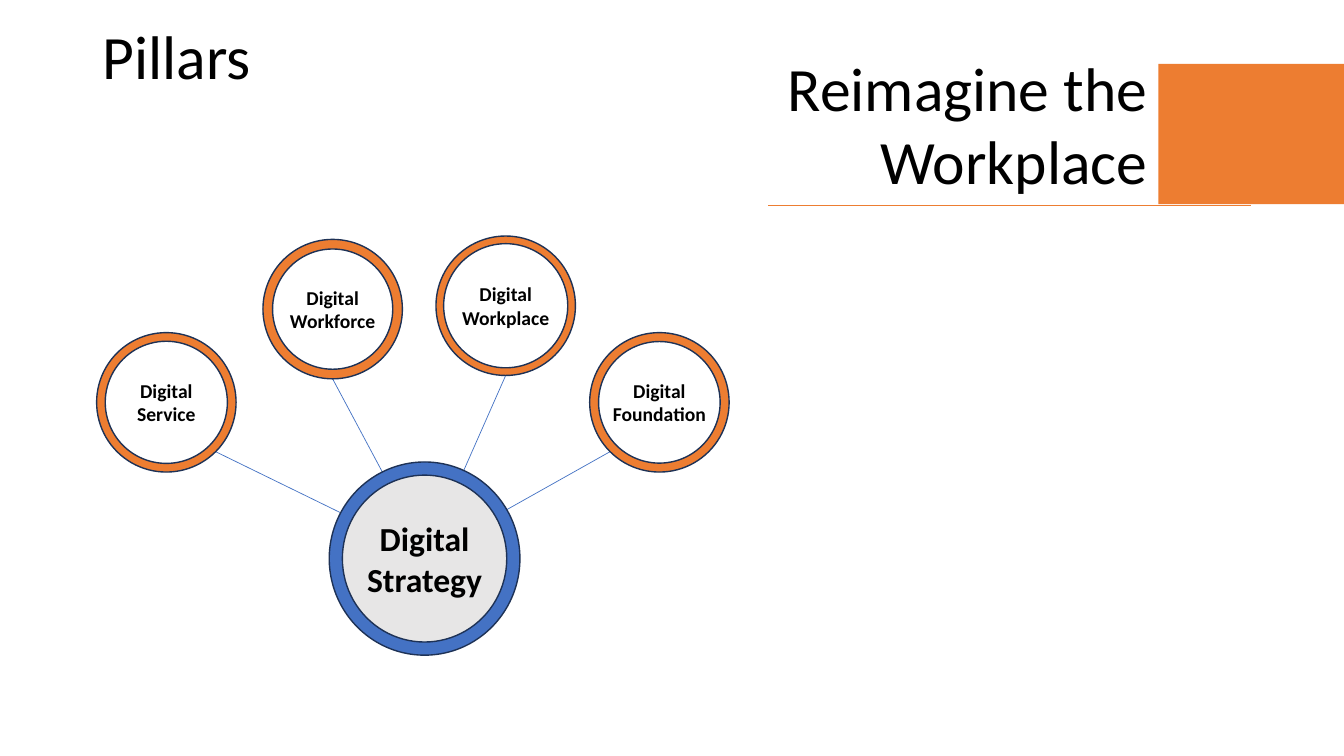
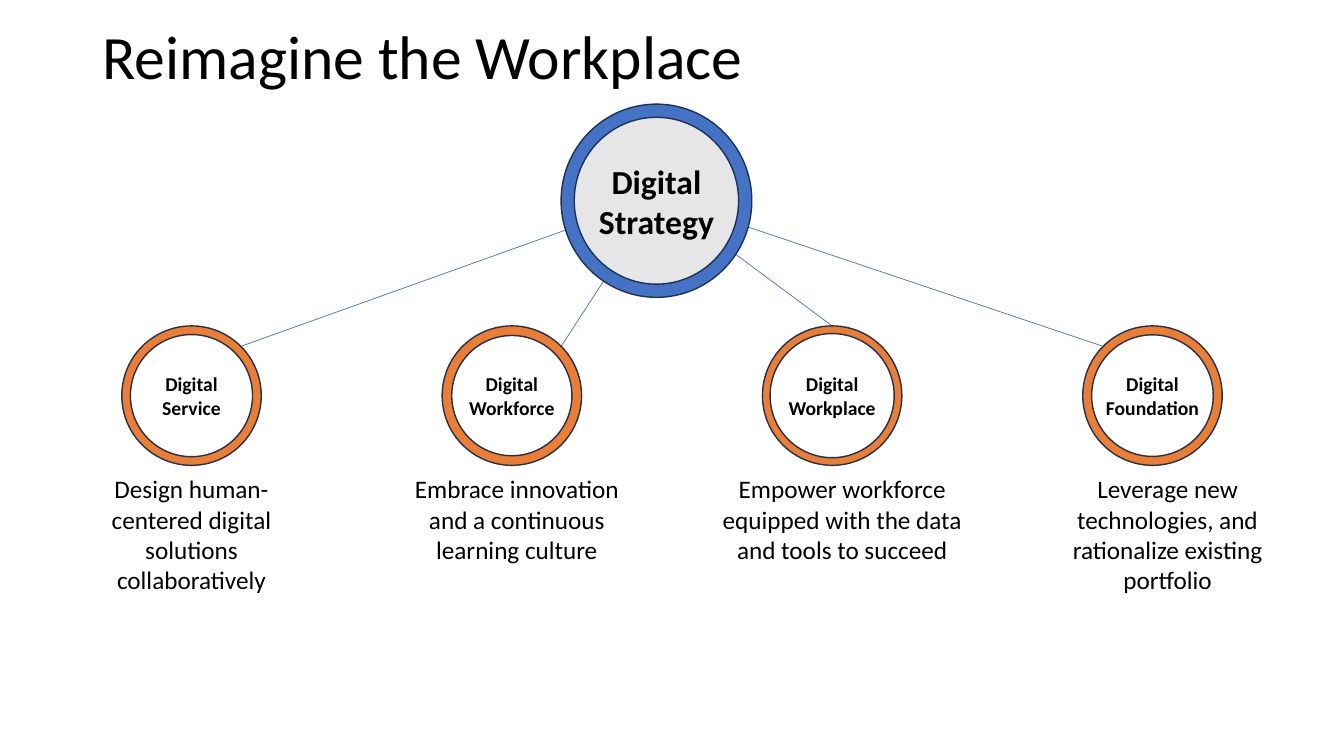
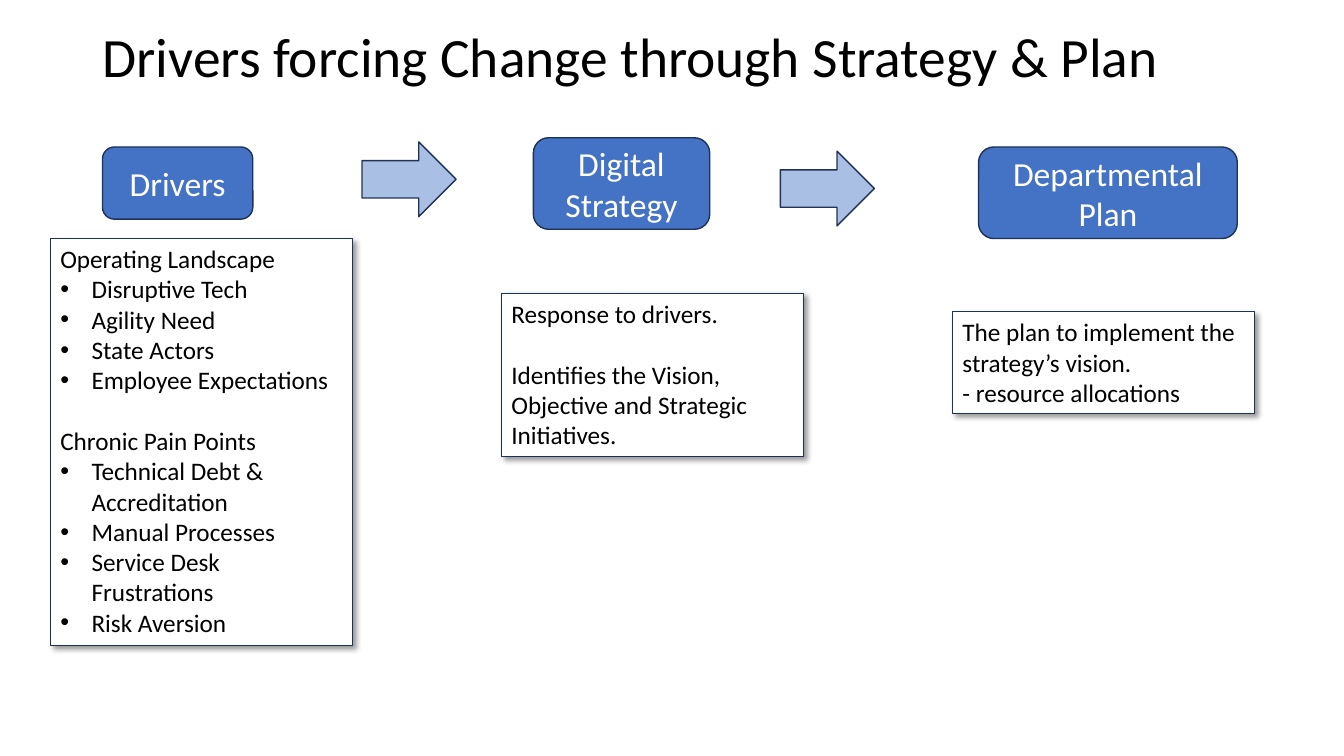
from dataclasses import dataclass
from math import cos, radians, sin

from lxml import etree
from pptx import Presentation
from pptx.dml.color import RGBColor
from pptx.enum.shapes import MSO_CONNECTOR, MSO_SHAPE
from pptx.enum.text import MSO_ANCHOR, MSO_AUTO_SIZE, PP_ALIGN
from pptx.oxml.ns import qn
from pptx.util import Inches, Pt

DONUT, OVAL = MSO_SHAPE.DONUT, MSO_SHAPE.OVAL
RECTANGLE, ROUNDED = MSO_SHAPE.RECTANGLE, MSO_SHAPE.ROUNDED_RECTANGLE
RIGHT_ARROW = MSO_SHAPE.RIGHT_ARROW
STRAIGHT = MSO_CONNECTOR.STRAIGHT
TOP, MIDDLE = MSO_ANCHOR.TOP, MSO_ANCHOR.MIDDLE
NO_AUTOFIT, GROW = MSO_AUTO_SIZE.NONE, MSO_AUTO_SIZE.SHAPE_TO_FIT_TEXT
LEFT, CENTER, RIGHT = PP_ALIGN.LEFT, PP_ALIGN.CENTER, PP_ALIGN.RIGHT

COLORS = {
    "black": "000000",
    "white": "FFFFFF",
    "blue": "4472C4",
    "orange": "ED7D31",
    "gray": "E7E6E6",
    "outline": "1E3256",
}
FONT = "Calibri"
COLUMNS, ROWS = 16, 9
SLIDE_WIDTH, SLIDE_HEIGHT = Inches(13.33), Inches(7.5)
PILLAR_SIZE = 1.66
HUB_WIDTH, HUB_HEIGHT = 2.27, 2.3
DISC_WIDTH, DISC_HEIGHT = 1.98, 2.09
PILLARS = [
    ("Digital Service", 0.062, "Design human-centered digital solutions collaboratively"),
    ("Digital Workforce", 0.069, "Embrace innovation and a continuous learning culture"),
    ("Digital Workplace", 0.055, "Empower workforce equipped with the data and tools to succeed"),
    ("Digital Foundation", 0.064, "Leverage new technologies, and rationalize existing portfolio"),
]


@dataclass
class Box:
    left: float
    top: float
    width: float
    height: float

    def inner(self, left, top, width, height):
        return Box(self.left + left, self.top + top, width, height)

    def center(self):
        return self.left + self.width / 2, self.top + self.height / 2

    def emu(self):
        return (*to_emu(self.left, self.top), *to_emu(self.width, self.height))


TITLE_BOX = Box(1.1, 0.18, 13.8, 1.06)


def to_emu(x, y):
    return round(x * SLIDE_WIDTH / COLUMNS), round(y * SLIDE_HEIGHT / ROWS)


def color(name):
    return RGBColor.from_string(COLORS[name])


def add_run(paragraph, text, size, color_name="black", bold=False):
    run = paragraph.add_run()
    run.text = text
    run.font.name = FONT
    run.font.size = Pt(size)
    run.font.bold = bold
    run.font.color.rgb = color(color_name)


def set_frame(frame, anchor, auto_size=NO_AUTOFIT, wrap=True):
    frame.word_wrap = wrap
    frame.auto_size = auto_size
    frame.vertical_anchor = anchor
    return frame


def next_paragraph(frame, index):
    return frame.add_paragraph() if index else frame.paragraphs[0]


def add_shape(slide, kind, box, fill, line_width=1):
    shape = slide.shapes.add_shape(kind, *box.emu())
    shape.shadow.inherit = False
    shape.fill.solid()
    shape.fill.fore_color.rgb = color(fill)
    if line_width:
        shape.line.color.rgb = color("outline")
        shape.line.width = Pt(line_width)
    else:
        shape.line.fill.background()
    return shape


def add_label(shape, text, size, color_name="black", bold=False):
    frame = set_frame(shape.text_frame, MIDDLE)
    paragraph = frame.paragraphs[0]
    paragraph.alignment = CENTER
    add_run(paragraph, text, size, color_name, bold)
    return frame


def add_line(slide, start, end, color_name):
    line = slide.shapes.add_connector(STRAIGHT, *to_emu(*start), *to_emu(*end))
    line.line.color.rgb = color(color_name)
    line.line.width = Pt(0.5)
    etree.SubElement(line._element.spPr, qn("a:effectLst"))


def add_ring(slide, box, thickness, fill, text, size):
    ring = add_shape(slide, DONUT, box, fill)
    ring.adjustments[0] = thickness
    frame = add_label(ring, text, size, bold=True)
    frame.margin_left = frame.margin_right = 0
    frame.margin_top = frame.margin_bottom = 0


def add_titled_slide(presentation, title, size=44):
    slide = presentation.slides.add_slide(presentation.slide_layouts[5])
    shape = slide.shapes.title
    shape.left, shape.top, shape.width, shape.height = TITLE_BOX.emu()
    paragraph = set_frame(shape.text_frame, MIDDLE).paragraphs[0]
    paragraph.alignment = LEFT
    paragraph.line_spacing = 0.9
    add_run(paragraph, title, size)
    return slide


def add_pillar_map(slide, box, pillar_places, hub_place):
    hub = box.inner(*hub_place, HUB_WIDTH, HUB_HEIGHT)
    hub_x, hub_y = hub.center()
    line_end = hub.left + 0.51 * hub.width, hub.top + 0.48 * hub.height
    rings = [box.inner(x, y, PILLAR_SIZE, PILLAR_SIZE) for x, y, _ in pillar_places]
    for ring, (_, _, angle) in zip(rings, pillar_places):
        x, y = ring.center()
        radius = PILLAR_SIZE / 2
        start = x + radius * cos(radians(angle)), y + radius * sin(radians(angle))
        add_line(slide, start, line_end, "blue")
    for ring, (name, thickness, _) in zip(rings, PILLARS):
        add_ring(slide, ring, thickness, "orange", name, 14)
    disc = Box(hub_x - DISC_WIDTH / 2, hub_y - DISC_HEIGHT / 2, DISC_WIDTH, DISC_HEIGHT)
    add_shape(slide, OVAL, disc, "gray")
    add_ring(slide, hub, 0.069, "blue", "Digital Strategy", 24)


def add_banner(slide, box):
    heading = slide.shapes.add_textbox(*box.inner(0.12, 0, 4.57, 1.9).emu())
    frame = set_frame(heading.text_frame, TOP, GROW, wrap=False)
    for index, (text, alignment) in enumerate([("Reimagine the", LEFT), ("Workplace", RIGHT)]):
        paragraph = next_paragraph(frame, index)
        paragraph.alignment = alignment
        add_run(paragraph, text, 44)
    block_left = 4.65
    block = box.inner(block_left, 0.23, box.width - block_left, 1.67)
    add_shape(slide, RECTANGLE, block, "orange", line_width=0)
    bottom = box.top + box.height
    add_line(slide, (box.left + 5.75, bottom), (box.left, bottom), "orange")


def add_captions(slide, box):
    width = 3.1
    pitch = (box.width - width) / (len(PILLARS) - 1)
    for index, (_, _, caption) in enumerate(PILLARS):
        place = box.inner(index * pitch, 0, width, box.height)
        shape = slide.shapes.add_textbox(*place.emu())
        paragraph = set_frame(shape.text_frame, TOP, GROW).paragraphs[0]
        paragraph.alignment = CENTER
        add_run(paragraph, caption, 18)


def add_bullet(paragraph):
    properties = paragraph._p.get_or_add_pPr()
    properties.set("marL", str(Inches(0.31)))
    properties.set("indent", str(-Inches(0.31)))
    etree.SubElement(properties, qn("a:buFont"), typeface="Arial")
    etree.SubElement(properties, qn("a:buChar"), char="•")


def add_drop_shadow(shape):
    effects = shape._element.spPr.find(qn("a:effectLst"))
    shadow = etree.SubElement(
        effects, qn("a:outerShdw"), blurRad=str(Pt(4)), dist=str(Pt(3)),
        dir=str(45 * 60000), algn="tl", rotWithShape="0")
    tint = etree.SubElement(shadow, qn("a:srgbClr"), val=COLORS["black"])
    etree.SubElement(tint, qn("a:alpha"), val="40000")


def add_note(slide, box, groups):
    note = add_shape(slide, RECTANGLE, box, "white", line_width=0.75)
    add_drop_shadow(note)
    frame = set_frame(note.text_frame, TOP, GROW)
    lines = [(text, group_index > 0 and line_index == 0, line_index > 0 and bulleted)
             for group_index, (bulleted, texts) in enumerate(groups)
             for line_index, text in enumerate(texts)]
    for index, (text, starts_group, bulleted) in enumerate(lines):
        paragraph = next_paragraph(frame, index)
        paragraph.alignment = LEFT
        if starts_group:
            paragraph.space_before = Pt(22)
        if bulleted:
            add_bullet(paragraph)
        add_run(paragraph, text, 18)


def add_stage(slide, box, name, label_place, note_top, note_height, groups):
    label = add_shape(slide, ROUNDED, box.inner(*label_place), "blue")
    add_label(label, name, 24, "white")
    add_note(slide, box.inner(0, note_top, box.width, note_height), groups)


def add_arrow(slide, box):
    arrow = add_shape(slide, RIGHT_ARROW, box, "blue")
    tint = arrow._element.spPr.find(qn("a:solidFill"))[0]
    etree.SubElement(tint, qn("a:alpha"), val="45000")


def build_pillars(presentation):
    slide = add_titled_slide(presentation, "Pillars")
    places = [(0, 1.15, 45), (1.98, 0.04, 90), (4.04, 0, 90), (5.87, 1.15, 135)]
    add_pillar_map(slide, Box(1.15, 2.81, 7.53, 4.99), places, (2.77, 2.69))
    add_banner(slide, Box(9.14, 0.53, 6.86, 1.91))


def build_workplace(presentation):
    slide = add_titled_slide(presentation, "Reimagine the Workplace")
    box = Box(1.45, 1.24, 13.1, 4.3)
    pitch = (box.width - PILLAR_SIZE) / (len(PILLARS) - 1)
    top = box.height - PILLAR_SIZE
    places = [(index * pitch, top, angle) for index, angle in enumerate((-45, -45, -90, -135))]
    add_pillar_map(slide, box, places, (5.23, 0))
    add_captions(slide, Box(0.73, 5.58, 14.72, 1.57))


def build_drivers(presentation):
    slide = add_titled_slide(presentation, "Drivers forcing Change through Strategy & Plan", 39.6)
    stages = [
        ("Drivers", (0.62, 0.11, 1.79, 0.86), 1.2, 4.85, [
            (True, ["Operating Landscape", "Disruptive Tech", "Agility Need",
                    "State Actors", "Employee Expectations"]),
            (True, ["Chronic Pain Points", "Technical Debt & Accreditation",
                    "Manual Processes", "Service Desk Frustrations", "Risk Aversion"]),
        ]),
        ("Digital Strategy", (0.38, 0, 2.1, 1.09), 1.85, 1.94, [
            (False, ["Response to drivers."]),
            (False, ["Identifies the Vision, Objective and Strategic Initiatives."]),
        ]),
        ("Departmental Plan", (0.31, 0.11, 3.08, 1.09), 2.07, 1.21, [
            (False, ["The plan to implement the strategy’s vision.", "- resource allocations"]),
        ]),
    ]
    for index, stage in enumerate(stages):
        add_stage(slide, Box(0.6 + index * 5.37, 1.64, 3.6, 6.05), *stage)
    for left, top in [(4.31, 1.69), (9.29, 1.8)]:
        add_arrow(slide, Box(left, top, 1.12, 0.89))


def main():
    presentation = Presentation()
    presentation.slide_width = SLIDE_WIDTH
    presentation.slide_height = SLIDE_HEIGHT
    build_pillars(presentation)
    build_workplace(presentation)
    build_drivers(presentation)
    presentation.save("out.pptx")


if __name__ == "__main__":
    main()
